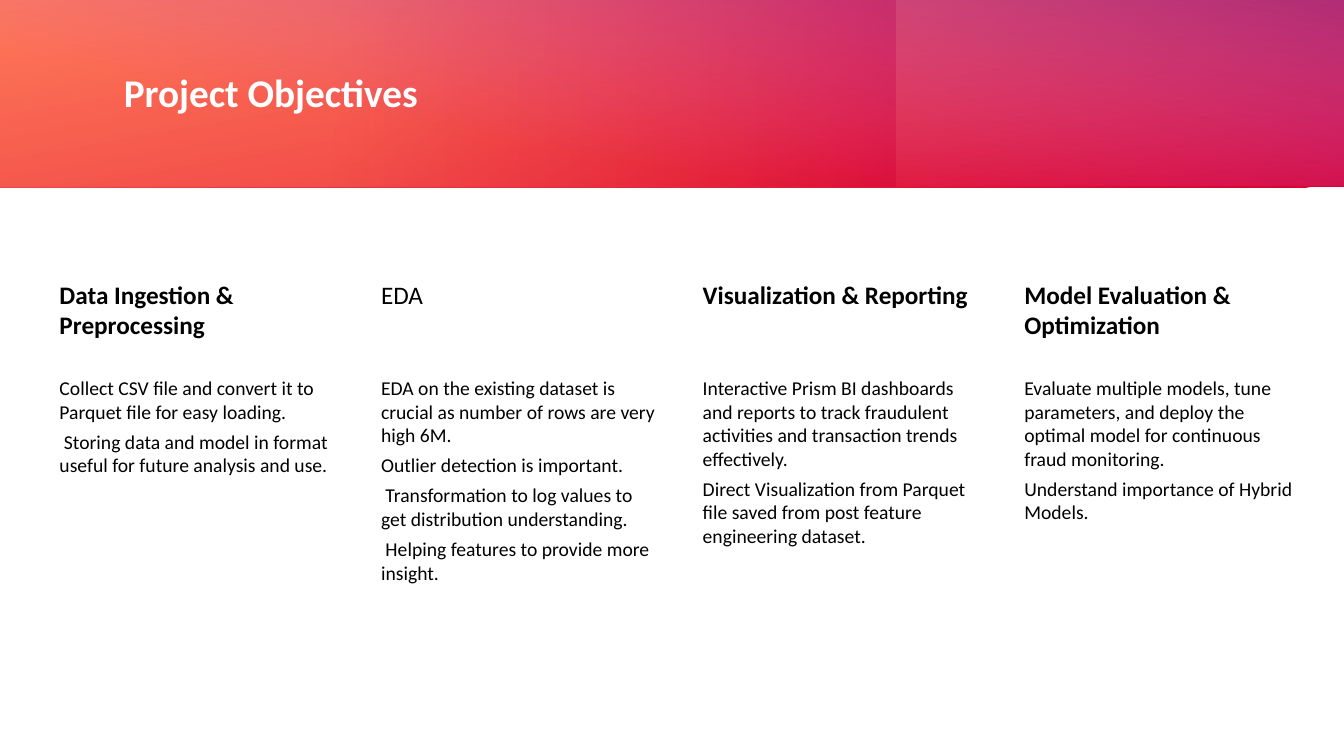
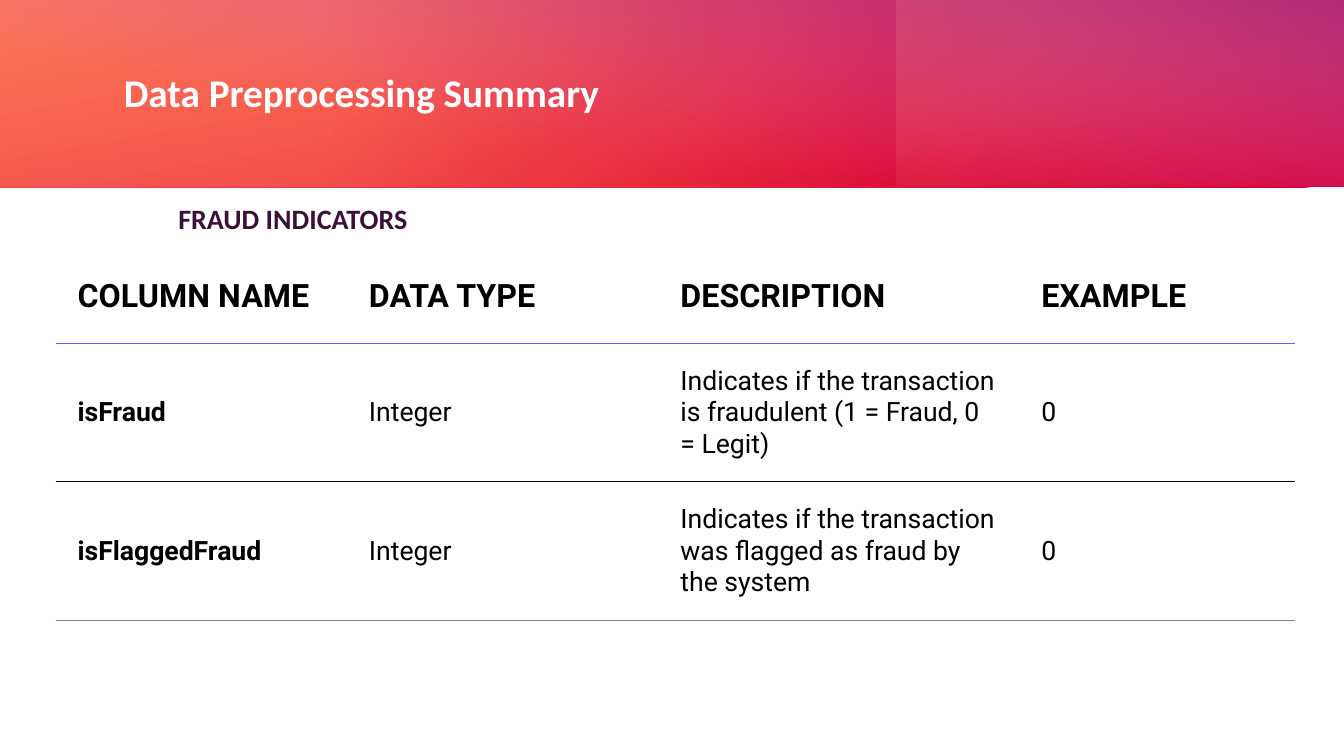
from lxml import etree
from pptx import Presentation
from pptx.dml.color import RGBColor
from pptx.enum.shapes import MSO_SHAPE
from pptx.enum.text import MSO_ANCHOR
from pptx.oxml.ns import qn
from pptx.util import Inches, Pt

RECTANGLE = MSO_SHAPE.RECTANGLE
TOP, MIDDLE, BOTTOM = MSO_ANCHOR.TOP, MSO_ANCHOR.MIDDLE, MSO_ANCHOR.BOTTOM

WHITE = RGBColor(0xFF, 0xFF, 0xFF)
BLACK = RGBColor(0x00, 0x00, 0x00)
GRAY = RGBColor(0x7F, 0x7F, 0x7F)
VIOLET = RGBColor(0x81, 0x4D, 0xFF)
PLUM = RGBColor(0x3C, 0x0F, 0x3A)
RED = RGBColor(0xDA, 0x00, 0x2F)
PEACH = RGBColor(0xFF, 0x84, 0x63)
ORANGE = RGBColor(0xFF, 0x6C, 0x4F)
PINK = RGBColor(0xD8, 0x61, 0xD4)
PURPLE = RGBColor(0x93, 0x25, 0x8E)

BANDS = [
    ((-0.01, 0, 13.35, 1.86), 100, [(0, RED, 100), (1, PEACH, 100)]),
    ((-0.01, 0, 8.89, 1.85), 0, [(0.37, ORANGE, 42), (0.99, RED, 50)]),
    ((0.01, -0.01, 13.34, 1.85), 80, [(0.32, PINK, 0), (1, PURPLE, 66)]),
]

OBJECTIVES = [
    ("Data Ingestion & Preprocessing", True, [
        "Collect CSV file and convert it to Parquet file for easy loading.",
        " Storing data and model in format useful for future analysis and use.",
    ]),
    ("EDA", False, [
        "EDA on the existing dataset is crucial as number of rows are very high 6M.",
        "Outlier detection is important.",
        " Transformation to log values to get distribution understanding.",
        " Helping features to provide more insight.",
    ]),
    ("Visualization & Reporting", True, [
        "Interactive Prism BI dashboards and reports to track fraudulent "
        "activities and transaction trends effectively.",
        "Direct Visualization from Parquet file saved from post feature "
        "engineering dataset.",
    ]),
    ("Model Evaluation & Optimization", True, [
        "Evaluate multiple models, tune parameters, and deploy the optimal "
        "model for continuous fraud monitoring.",
        "Understand importance of Hybrid Models.",
    ]),
]

INDICATORS = [
    ["COLUMN NAME", "DATA TYPE", "DESCRIPTION", "EXAMPLE"],
    ["isFraud", "Integer",
     "Indicates if the transaction is fraudulent (1 = Fraud, 0 = Legit)", "0"],
    ["isFlaggedFraud", "Integer",
     "Indicates if the transaction was flagged as fraud by the system", "0"],
]
INDICATOR_WIDTHS = [2.89, 3.09, 3.58, 2.72]
INDICATOR_HEIGHTS = [0.95, 1.37, 1.37]
RULES = [(WHITE, 1), (VIOLET, 1.03), (BLACK, 0.75), (GRAY, 0.5)]


class Deck:
    body_font = "Calibri"
    table_font = "Roboto"

    def __init__(self):
        self.presentation = Presentation()
        self.presentation.slide_width = Inches(13.33)
        self.presentation.slide_height = Inches(7.5)
        self.slide = None

    def add_slide(self, title):
        layout = self.presentation.slide_layouts[6]
        self.slide = self.presentation.slides.add_slide(layout)
        for area, angle, stops in BANDS:
            self.band(area, angle, stops)
        self.text((1.13, 0.38, 10.8, 1.13), [title], 28, WHITE, bold=True,
                  anchor=MIDDLE, line_spacing=0.9)

    def band(self, area, angle, stops):
        band = self.slide.shapes.add_shape(RECTANGLE, *map(Inches, area))
        band.shadow.inherit = False
        band.line.fill.background()
        band.fill.gradient()
        band.fill.gradient_angle = angle
        for stop, (position, color, _) in zip(band.fill.gradient_stops, stops):
            stop.position = position
            stop.color.rgb = color
        tints = band._element.spPr.iter(qn("a:srgbClr"))
        for tint, (_, _, opacity) in zip(tints, stops):
            etree.SubElement(tint, qn("a:alpha"), val=str(opacity * 1000))

    def run(self, paragraph, text, font, size, color, bold):
        run = paragraph.add_run()
        run.text = text
        run.font.name = font
        run.font.size = Pt(size)
        run.font.color.rgb = color
        run.font.bold = bold

    def text(self, area, lines, size, color, bold=False, anchor=TOP,
             insets=(0.1, 0.05, 0.1, 0.05), line_spacing=1.0, gap=0):
        frame = self.slide.shapes.add_textbox(*map(Inches, area)).text_frame
        frame.word_wrap = True
        frame.vertical_anchor = anchor
        (frame.margin_left, frame.margin_top,
         frame.margin_right, frame.margin_bottom) = map(Inches, insets)
        for index, line in enumerate(lines):
            paragraph = frame.add_paragraph() if index else frame.paragraphs[0]
            paragraph.line_spacing = line_spacing
            paragraph.space_after = Pt(gap)
            self.run(paragraph, line, self.body_font, size, color, bold)

    def border(self, cell, side, color, width):
        line = etree.SubElement(cell._tc.get_or_add_tcPr(), qn("a:ln" + side),
                                w=str(Pt(width)))
        fill = etree.SubElement(line, qn("a:solidFill"))
        etree.SubElement(fill, qn("a:srgbClr"), val=str(color))

    def table(self, left, top, rows, widths, heights, rules):
        table = self.slide.shapes.add_table(
            len(rows), len(widths), Inches(left), Inches(top),
            Inches(sum(widths)), Inches(sum(heights))).table
        table.first_row = False
        table.horz_banding = False
        for column, width in zip(table.columns, widths):
            column.width = Inches(width)
        for r, values in enumerate(rows):
            table.rows[r].height = Inches(heights[r])
            size, leading = (19, 22.5) if r else (23, 27.8)
            for c, value in enumerate(values):
                cell = table.cell(r, c)
                for side, rule in zip("LRTB", (rules[0], rules[0],
                                               rules[r], rules[r + 1])):
                    self.border(cell, side, *rule)
                cell.fill.background()
                cell.vertical_anchor = MIDDLE
                cell.margin_left = cell.margin_right = Inches(0.21)
                cell.margin_top = cell.margin_bottom = Inches(0.21)
                paragraph = cell.text_frame.paragraphs[0]
                paragraph.line_spacing = Pt(leading)
                self.run(paragraph, value, self.table_font, size, BLACK,
                         r == 0 or c == 0)


def main():
    deck = Deck()

    deck.add_slide("Project Objectives")
    for index, (heading, bold, points) in enumerate(OBJECTIVES):
        left = 0.44 + index * 3.19
        deck.text((left, 2.74, 2.9, 0.67), [heading], 18, BLACK, bold=bold,
                  insets=(0.15, 0.03, 0.03, 0.03))
        deck.text((left, 3.71, 2.9, 3.79), points, 14, BLACK,
                  insets=(0.15, 0.02, 0.02, 0.02), gap=4.7)

    deck.add_slide("Data Preprocessing Summary")
    deck.table(0.56, 2.46, INDICATORS, INDICATOR_WIDTHS, INDICATOR_HEIGHTS, RULES)
    deck.text((1.67, 1.87, 9.9, 0.51), ["FRAUD INDICATORS"], 20, PLUM,
              bold=True, anchor=BOTTOM, line_spacing=0.8)

    deck.presentation.save("out.pptx")


if __name__ == "__main__":
    main()
